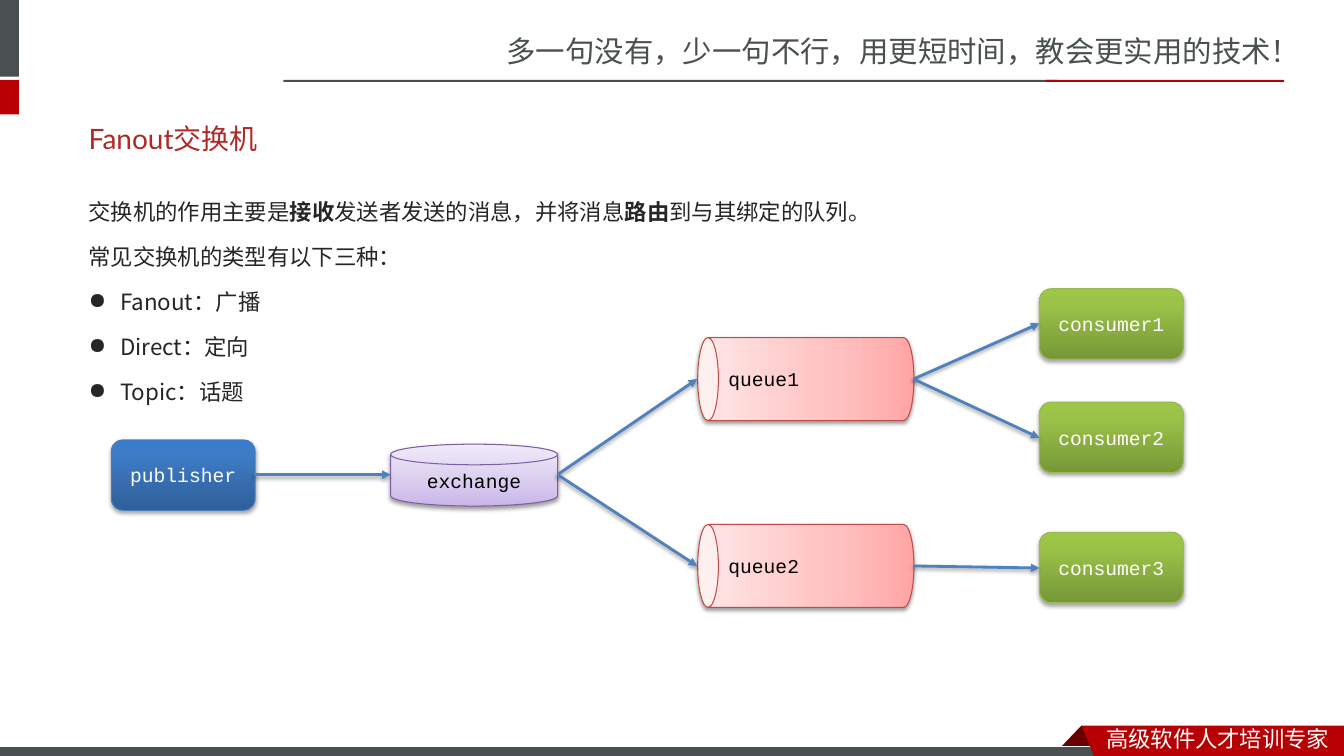
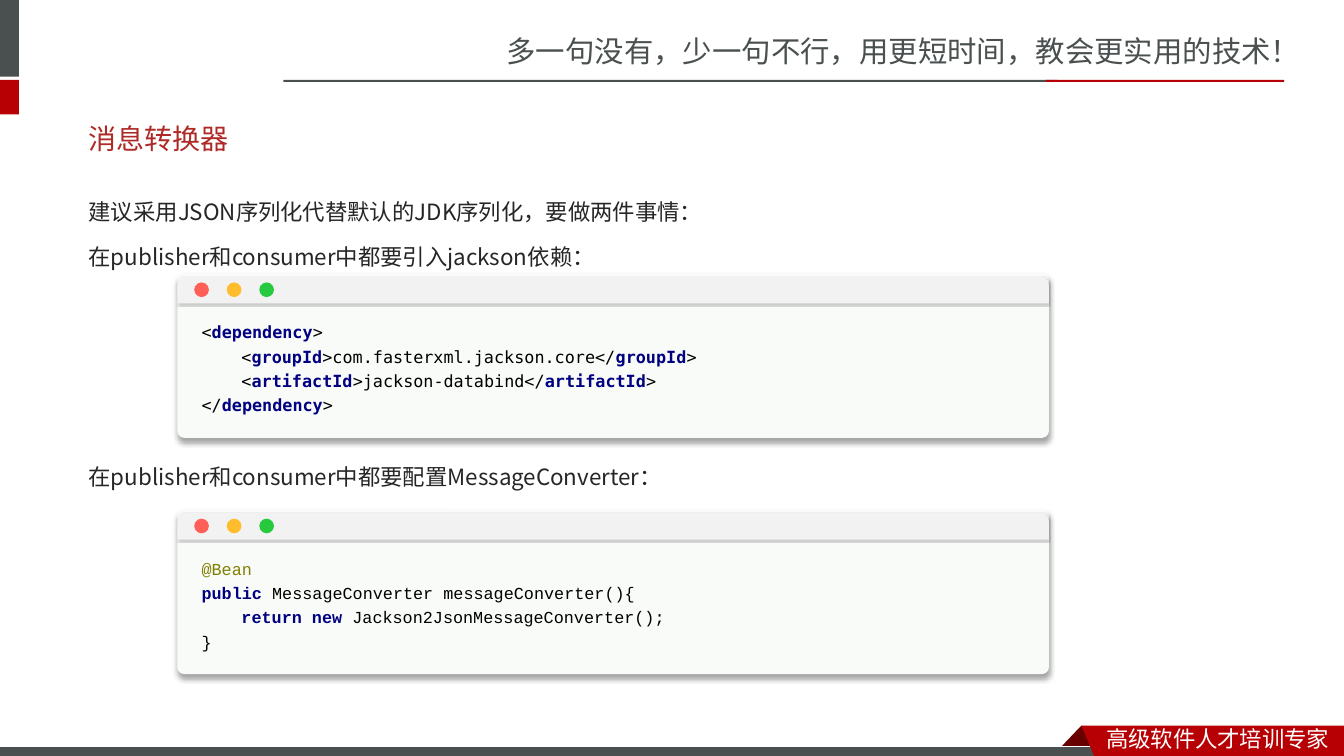
from lxml.etree import SubElement
from pptx import Presentation
from pptx.dml.color import RGBColor
from pptx.enum.shapes import MSO_CONNECTOR, MSO_SHAPE
from pptx.enum.text import MSO_ANCHOR, PP_ALIGN
from pptx.oxml.ns import qn
from pptx.util import Pt

PX = 9525

COLORS = {
    "gray": "49504F", "red": "B60004", "dark_red": "680000", "white": "FFFFFF",
    "black": "000000", "title": "AD2A26", "body": "262626", "arrow": "4F81BD",
    "window": "F9FBF9", "window_bar": "F2F2F2",
    "close": "FF5F56", "minimize": "FFBD2E", "zoom": "27C93F",
    "keyword": "000080", "annotation": "808000",
    "publisher_line": "4B7EBC", "consumer_line": "98B955",
    "queue_line": "BF4C48", "exchange_line": "7D60A0",
}
GRADIENTS = {
    "publisher": [(0, "2F5F99"), (80, "3D7CC7"), (100, "3A7CCB")],
    "consumer": [(0, "779737"), (80, "9BC348"), (100, "9DC746")],
    "queue": [(0, "FFA6A5"), (35, "FFC0BF"), (100, "FFE7E7")],
    "exchange": [(0, "C9B5E8"), (35, "D8CBEE"), (100, "F0EAF9")],
}
SHADOWS = {
    "box": (35, 3.1, 1.8),
    "soft": (38, 3.1, 1.6),
    "window": (34, 4, 3),
    "bar": (20, 1, 1),
}
CJK = "Noto Sans CJK SC"
BODY_FONT = "Noto Sans CJK JP"
CODE_FONT = "Courier New"
XML_FONT = "DejaVu Sans Mono"
KEYWORD = {"color": "keyword", "bold": True}
BOLD = {"bold": True}


def rgb(name):
    return RGBColor.from_string(COLORS[name])


def write_run(paragraph, text, size, font, color, bold=False):
    run = paragraph.add_run()
    run.text = text
    run.font.size = Pt(size)
    run.font.name = font
    run.font.bold = bold
    run.font.color.rgb = rgb(color)
    SubElement(run.font._element, qn("a:ea")).set("typeface", CJK)


def write_text(paragraph, text, align=PP_ALIGN.LEFT, line=None, before=0,
               indent=0, bullet=None, **font):
    paragraph.alignment = align
    paragraph.space_before = Pt(before)
    if line:
        paragraph.line_spacing = Pt(line)
    properties = paragraph._p.get_or_add_pPr()
    if indent:
        properties.set("marL", str(indent * PX))
    if bullet:
        properties.set("indent", str(-indent * PX))
        SubElement(properties, qn("a:buChar")).set("char", bullet)
    for run in [text] if isinstance(text, str) else text:
        content, changes = (run, {}) if isinstance(run, str) else run
        write_run(paragraph, content, **{**font, **changes})


class Deck:
    def __init__(self):
        self.presentation = Presentation()
        self.presentation.slide_width = 1280 * PX
        self.presentation.slide_height = 720 * PX
        self.container = None

    def new_slide(self, title):
        slide = self.presentation.slides.add_slide(self.presentation.slide_layouts[6])
        self.container = slide.shapes
        self.text((473, 27, 807, 45), ["多一句没有，少一句不行，用更短时间，教会更实用的技术！"],
                  size=21, font=CJK, color="gray")
        for box, color in (((0, 0, 18, 73), "gray"), ((0, 76, 18, 33), "red"),
                           ((270, 76, 737, 2), "gray"), ((996, 76, 227, 2), "red")):
            self.shape(MSO_SHAPE.RECTANGLE, box, color)
        self.outline([(1030, 691), (1051, 713), (1009, 713)], "dark_red")
        self.shape(MSO_SHAPE.RECTANGLE, (0, 711, 1055, 12), "gray", line="white")
        self.outline([(1030, 691), (1280, 691), (1280, 720), (1042, 720)], "red")
        self.text((1044, 686, 236, 35), ["高级软件人才培训专家"],
                  size=16, font=CJK, color="white")
        self.text((75, 111, 1123, 42), [title], anchor=MSO_ANCHOR.MIDDLE,
                  size=20, font="Lato", color="title")

    def decorate(self, shape, fill, line=None, shadow=None):
        properties = shape._element.spPr
        if fill in GRADIENTS:
            shape.fill.gradient()
            shape.fill.gradient_angle = 90
            stops = properties.find(".//" + qn("a:gsLst"))
            del stops[:]
            for position, color in GRADIENTS[fill]:
                stop = SubElement(stops, qn("a:gs"), pos=str(position * 1000))
                SubElement(stop, qn("a:srgbClr"), val=color)
        else:
            shape.fill.solid()
            shape.fill.fore_color.rgb = rgb(fill)
        if line:
            shape.line.color.rgb = rgb(line)
            shape.line.width = Pt(0.75)
        else:
            shape.line.fill.background()
        self.shadow(properties, shadow)

    def shadow(self, properties, name=None):
        effects = SubElement(properties, qn("a:effectLst"))
        if name:
            alpha, blur, distance = SHADOWS[name]
            outer = SubElement(effects, qn("a:outerShdw"), blurRad=str(Pt(blur)),
                               dist=str(Pt(distance)), dir="5400000", rotWithShape="0")
            color = SubElement(outer, qn("a:srgbClr"), val=COLORS["black"])
            SubElement(color, qn("a:alpha"), val=str(alpha * 1000))

    def shape(self, kind, box, fill, line=None, shadow=None, corner=None):
        shape = self.container.add_shape(kind, *(length * PX for length in box))
        if corner is not None:
            shape.adjustments[0] = corner
        self.decorate(shape, fill, line, shadow)
        return shape

    def outline(self, points, fill):
        builder = self.container.build_freeform(*points[0], scale=PX)
        builder.add_line_segments(points[1:], close=True)
        self.decorate(builder.convert_to_shape(), fill)

    def text(self, box, paragraphs, anchor=MSO_ANCHOR.TOP, inset=None, **style):
        frame = self.container.add_textbox(*(length * PX for length in box)).text_frame
        frame.word_wrap = True
        frame.vertical_anchor = anchor
        if inset is not None:
            frame.margin_left = frame.margin_right = inset * PX
        for index, item in enumerate(paragraphs):
            paragraph = frame.add_paragraph() if index else frame.paragraphs[0]
            content, changes = item if isinstance(item, tuple) else (item, {})
            write_text(paragraph, content, **{**style, **changes})

    def body(self, top, paragraphs):
        self.text((75, top, 1123, 50), paragraphs, size=16, font=BODY_FONT,
                  color="body", line=29, before=3.2)

    def node(self, kind, box, label, look, color="black", shadow="soft"):
        shape = self.shape(kind, box, look, look + "_line", shadow)
        shape.text_frame.vertical_anchor = MSO_ANCHOR.MIDDLE
        write_text(shape.text_frame.paragraphs[0], label, align=PP_ALIGN.CENTER,
                   size=14, font=CODE_FONT, color=color)
        return shape

    def box_node(self, left, top, label, look):
        self.node(MSO_SHAPE.ROUNDED_RECTANGLE, (left, top, 137, 67), label, look,
                  color="white", shadow="box")

    def queue(self, top, label):
        can = self.node(MSO_SHAPE.CAN, (728, top, 79, 206), label, "queue")
        can.rotation = 270
        can.text_frame._txBody.bodyPr.set("vert", "eaVert")

    def arrow(self, start, end):
        connector = self.container.add_connector(
            MSO_CONNECTOR.STRAIGHT, *(length * PX for length in start + end))
        connector.line.color.rgb = rgb("arrow")
        connector.line.width = Pt(2)
        SubElement(connector.line._get_or_add_ln(), qn("a:tailEnd"), type="triangle")
        self.shadow(connector._element.spPr, "soft")

    def code_window(self, top, lines, font):
        slide_shapes = self.container
        self.container = slide_shapes.add_group_shape().shapes
        left, width = 169, 830
        self.shape(MSO_SHAPE.ROUNDED_RECTANGLE, (left, top, width, 157), "window",
                   shadow="window", corner=0.04)
        self.text((left, top + 38, 805, 101), lines, inset=23, line=17.4,
                  size=12, font=font, color="black")
        self.shape(MSO_SHAPE.ROUND_2_SAME_RECTANGLE, (left, top + 3, width, 26),
                   "window_bar", shadow="bar", corner=0.33)
        for index, color in enumerate(("close", "minimize", "zoom")):
            self.shape(MSO_SHAPE.OVAL, (left + 16 + 31 * index, top + 9, 14, 14), color)
        self.container = slide_shapes


def add_exchange_slide(deck):
    deck.new_slide("Fanout交换机")
    bullet = {"indent": 30, "bullet": "●"}
    deck.body(171, [
        ["交换机的作用主要是", ("接收", BOLD), "发送者发送的消息，并将消息",
         ("路由", BOLD), "到与其绑定的队列。"],
        "常见交换机的类型有以下三种：",
        *((kind, bullet) for kind in ("Fanout：广播", "Direct：定向", "Topic：话题")),
    ])
    deck.box_node(106, 419, "publisher", "publisher")
    deck.node(MSO_SHAPE.FLOWCHART_MAGNETIC_DISK, (372, 423, 159, 59), "exchange", "exchange")
    for number, top in enumerate((258, 436), 1):
        deck.queue(top, f"queue{number}")
    for number, top in enumerate((275, 383, 507), 1):
        deck.box_node(990, top, f"consumer{number}", "consumer")
    deck.arrow((242, 452), (372, 452))
    for queue_middle, consumer_middles in ((361, (308, 417)), (539, (541,))):
        deck.arrow((531, 452), (664, queue_middle))
        for consumer_middle in consumer_middles:
            deck.arrow((870, queue_middle), (990, consumer_middle))


def add_converter_slide(deck):
    deck.new_slide("消息转换器")
    nested = {"indent": 38}
    deck.body(171, ["建议采用JSON序列化代替默认的JDK序列化，要做两件事情：",
                    "在publisher和consumer中都要引入jackson依赖："])

    def element(tag, value):
        return ["<", (tag, KEYWORD), f">{value}</", (tag, KEYWORD), ">"], nested

    deck.code_window(260, [
        ["<", ("dependency", KEYWORD), ">"],
        element("groupId", "com.fasterxml.jackson.core"),
        element("artifactId", "jackson-databind"),
        ["</", ("dependency", KEYWORD), ">"],
    ], XML_FONT)
    deck.body(423, ["在publisher和consumer中都要配置MessageConverter："])
    deck.code_window(485, [
        [("@Bean", {"color": "annotation"})],
        [("public ", KEYWORD), "MessageConverter messageConverter(){"],
        ([("return new ", KEYWORD), "Jackson2JsonMessageConverter();"], nested),
        "}",
    ], CODE_FONT)


def main():
    deck = Deck()
    add_exchange_slide(deck)
    add_converter_slide(deck)
    deck.presentation.save("out.pptx")


if __name__ == "__main__":
    main()
